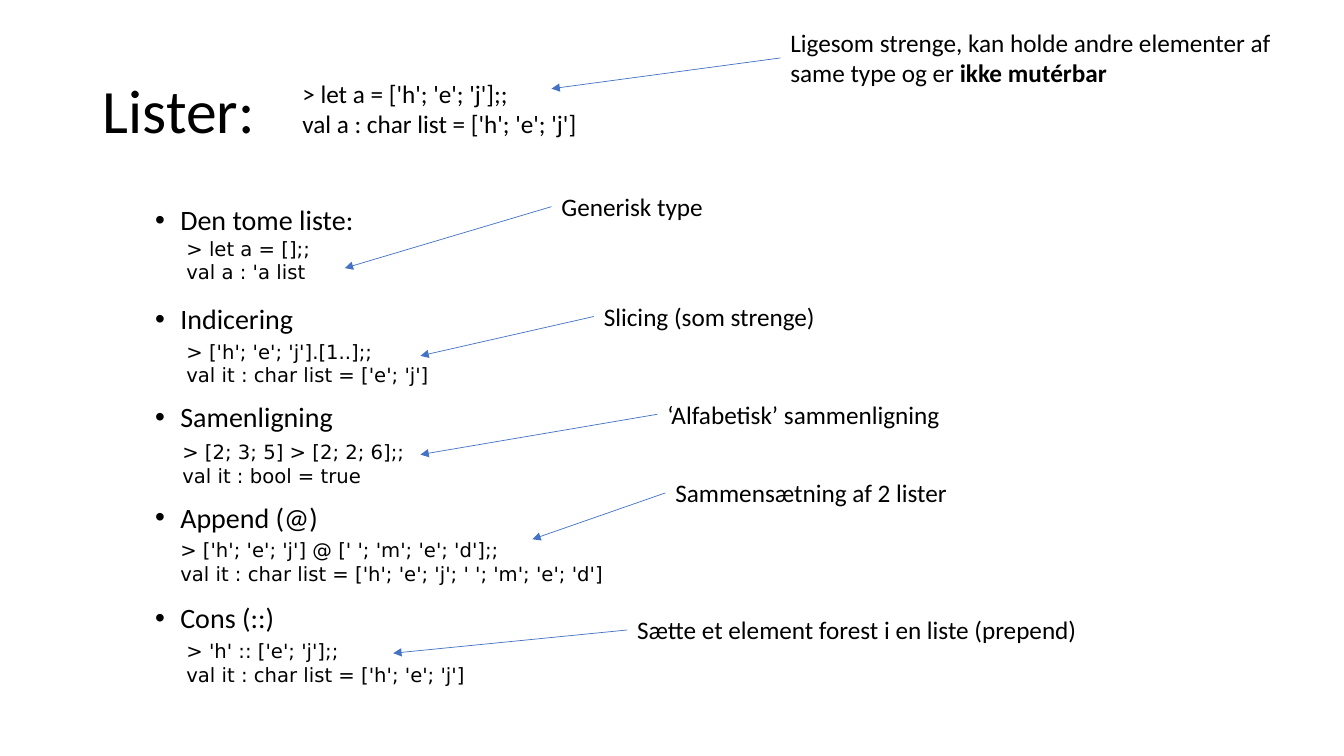
from lxml.etree import SubElement
from pptx import Presentation
from pptx.dml.color import RGBColor
from pptx.enum.shapes import MSO_CONNECTOR
from pptx.enum.text import MSO_ANCHOR
from pptx.oxml.ns import qn
from pptx.util import Inches, Pt

BLACK = "000000"
ARROW_BLUE = "4472C4"

TOPICS = [
    ("Den tome liste:", 2, 0.54, 1.75, 2.3, 4.32,
     ["> let a = [];;", "val a : 'a list"]),
    ("Indicering", 2.98, 0.42, 1.75, 3.32, 4.32,
     ["> ['h'; 'e'; 'j'].[1..];;", "val it : char list = ['e'; 'j']"]),
    ("Samenligning", 3.95, 0.58, 1.71, 4.32, 4.32,
     ["> [2; 3; 5] > [2; 2; 6];;", "val it : bool = true"]),
    ("Append (@)", 4.95, 0.55, 1.69, 5.29, 4.86,
     ["> ['h'; 'e'; 'j'] @ [' '; 'm'; 'e'; 'd'];;",
      "val it : char list = ['h'; 'e'; 'j'; ' '; 'm'; 'e'; 'd']"]),
    ("Cons (::)", 5.95, 0.43, 1.75, 6.29, 4.32,
     ["> 'h' :: ['e'; 'j'];;", "val it : char list = ['h'; 'e'; 'j']"]),
]

NOTES = [
    ("Generisk type", 5.47, 1.85, 2.26, (3.42, 2.66)),
    ("Slicing (som strenge)", 5.89, 2.94, 2.6, (4.17, 3.53)),
    ("‘Alfabetisk’ sammenligning", 6.52, 3.91, 2.97, (4.17, 4.51)),
    ("Sammensætning af 2 lister", 6.6, 4.69, 3.21, (5.28, 5.35)),
    ("Sætte et element forest i en liste (prepend)", 6.22, 6.05, 5.67, (3.9, 6.48)),
]


def color(value):
    return RGBColor.from_string(value)


def add_span(para, text, size, font, bold=False):
    span = para.add_run()
    span.text = text
    span.font.size = Pt(size)
    span.font.name = font
    span.font.bold = bold
    span.font.color.rgb = color(BLACK)


def add_text(page, lines, left, top, width, height, size=18, font="Calibri",
             anchor=MSO_ANCHOR.TOP, line_spacing=None, bold_end=""):
    box = page.shapes.add_textbox(Inches(left), Inches(top), Inches(width), Inches(height))
    frame = box.text_frame
    frame.word_wrap = True
    frame.vertical_anchor = anchor
    for index, line in enumerate(lines):
        para = frame.add_paragraph() if index else frame.paragraphs[0]
        para.line_spacing = line_spacing
        add_span(para, line, size, font)
    if bold_end:
        add_span(para, bold_end, size, font, bold=True)
    return box


def add_bullet(page, text, top, height):
    box = add_text(page, [text], 1.44, top, 11.5, height, size=20, line_spacing=0.9)
    para = box.text_frame.paragraphs[0]
    para.space_before = Pt(10)
    properties = para._p.get_or_add_pPr()
    properties.set("marL", str(Inches(0.25)))
    properties.set("indent", str(Inches(-0.25)))
    SubElement(properties, qn("a:buFont")).set("typeface", "Arial")
    SubElement(properties, qn("a:buChar")).set("char", "•")


def add_arrow(page, start, end):
    arrow = page.shapes.add_connector(
        MSO_CONNECTOR.STRAIGHT, *(Inches(value) for value in (*start, *end)))
    arrow.line.color.rgb = color(ARROW_BLUE)
    arrow.line.width = Pt(0.5)
    SubElement(arrow.line._get_or_add_ln(), qn("a:tailEnd")).set("type", "triangle")
    SubElement(arrow._element.spPr, qn("a:effectLst"))


def add_note(page, text, left, top, width, target, height=0.4, bold_end=""):
    add_arrow(page, (left, top + height / 2), target)
    add_text(page, [text], left, top, width, height, bold_end=bold_end)


def main():
    deck = Presentation()
    deck.slide_width = Inches(13.33)
    deck.slide_height = Inches(7.5)
    page = deck.slides.add_slide(deck.slide_layouts[6])

    add_text(page, ["Lister:"], 0.92, 0.4, 11.5, 1.45, size=44,
             anchor=MSO_ANCHOR.MIDDLE, line_spacing=0.9)
    add_text(page, ["> let a = ['h'; 'e'; 'j'];;", "val a : char list = ['h'; 'e'; 'j']"],
             2.9, 0.73, 4.32, 0.71)
    add_note(page, "Ligesom strenge, kan holde andre elementer af same type og er ",
             7.74, 0.22, 5, (5.47, 0.88), height=0.71, bold_end="ikke mutérbar")

    for heading, top, height, code_left, code_top, code_width, code in TOPICS:
        add_bullet(page, heading, top, height)
        add_text(page, code, code_left, code_top, code_width, 0.57,
                 size=14, font="DejaVu Sans")
    for note in NOTES:
        add_note(page, *note)

    deck.save("out.pptx")


main()
